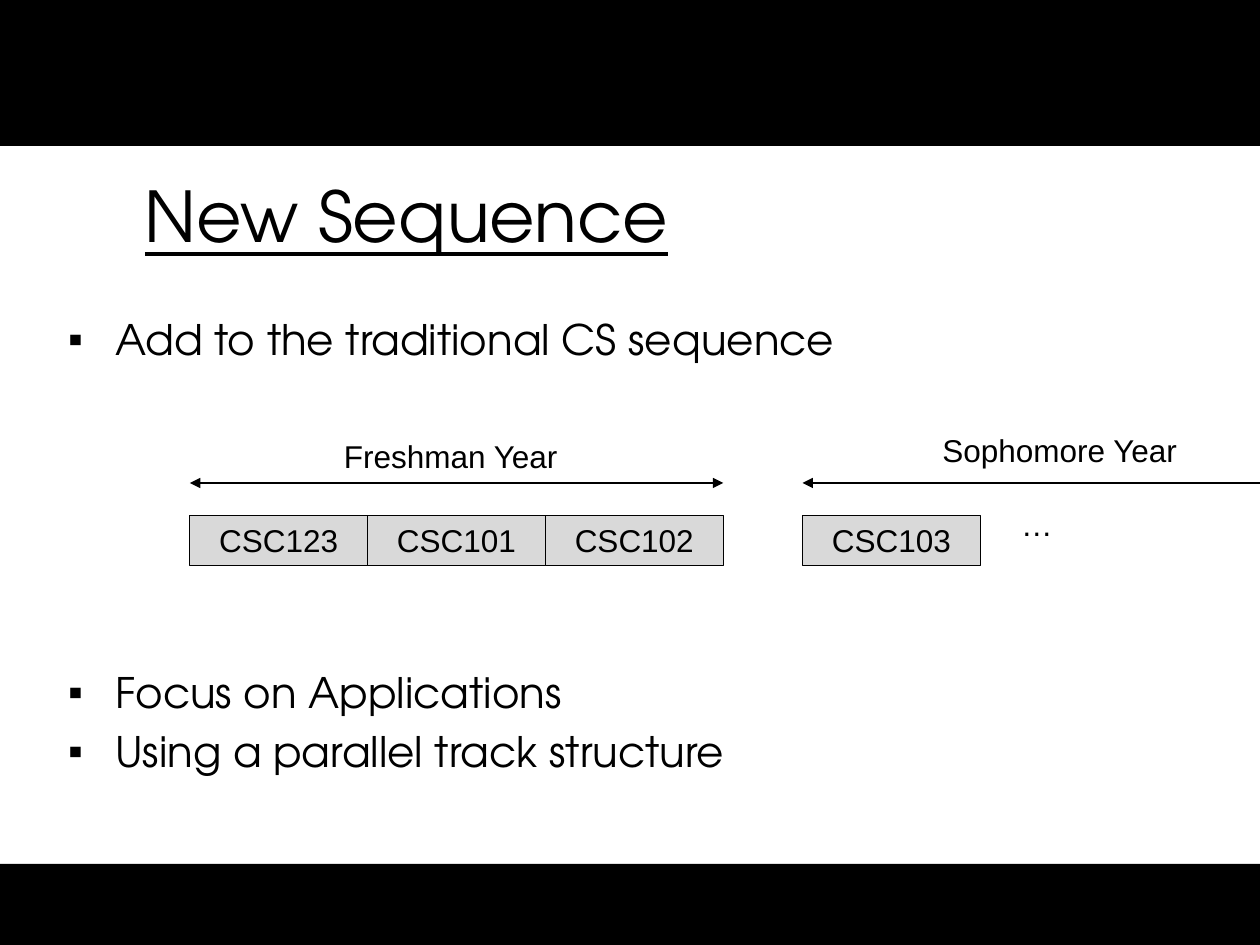
from lxml import etree
from pptx import Presentation
from pptx.dml.color import RGBColor
from pptx.enum import shapes, text
from pptx.oxml.ns import qn
from pptx.util import Pt

BLACK = RGBColor(0, 0, 0)
GREY = RGBColor(0xD9, 0xD9, 0xD9)
HEAD, SANS = "TeX Gyre Adventor", "Arial"
WIDE, TALL = 720, 540
CELL, HIGH = 101.6, 28.8  # course box


def put(shape, box):
    for name, val in zip(("left", "top", "width", "height"), box):
        setattr(shape, name, Pt(val))


def style(para, name, size, **more):
    look = {"name": name, "size": Pt(size), **more}
    for key, val in look.items():
        setattr(para.font, key, val)
    para.font.color.rgb = BLACK


def rect(slide, box, fill, line=None):
    shape = slide.shapes.add_shape(shapes.MSO_SHAPE.RECTANGLE, *map(Pt, box))
    shape.shadow.inherit = False
    shape.fill.solid()
    shape.fill.fore_color.rgb = fill
    if line is None:
        shape.line.fill.background()
    else:
        shape.line.color.rgb = line
        shape.line.width = Pt(0.75)
    return shape


def bands(slide):
    for top, high in ((0, 83.4), (493.6, TALL - 493.6)):
        rect(slide, (0, top, WIDE, high), BLACK)


def title(slide, box, words):
    shape = slide.shapes.title
    put(shape, box)
    frame = shape.text_frame
    frame.text = words
    frame.vertical_anchor = text.MSO_ANCHOR.MIDDLE
    para = frame.paragraphs[0]
    para.alignment = text.PP_ALIGN.LEFT
    style(para, HEAD, 40, underline=True)


def bullets(slide, box, items):
    """Fill the body with (words, space before) pairs."""
    shape = slide.placeholders[1]
    put(shape, box)
    frame = shape.text_frame
    frame.auto_size = text.MSO_AUTO_SIZE.NONE
    frame.text = "\n".join(words for words, _ in items)
    for para, (_, gap) in zip(frame.paragraphs, items):
        props = para._p.get_or_add_pPr()
        props.set("marL", str(Pt(27)))
        props.set("indent", str(Pt(-27)))
        para.space_before = Pt(gap)
        etree.SubElement(props, qn("a:buFont")).set("typeface", SANS)
        etree.SubElement(props, qn("a:buChar")).set("char", "▪")
        style(para, HEAD, 24)


def arrow(slide, left, top, width):
    line = slide.shapes.add_connector(
        shapes.MSO_CONNECTOR.STRAIGHT, Pt(left), Pt(top), Pt(left + width), Pt(top))
    line.line.color.rgb = BLACK
    line.line.width = Pt(0.75)
    for end in ("a:headEnd", "a:tailEnd"):
        etree.SubElement(line.line._get_or_add_ln(), qn(end)).set("type", "triangle")
    etree.SubElement(line._element.spPr, qn("a:effectLst"))


def label(slide, box, words):
    shape = slide.shapes.add_textbox(*map(Pt, box))
    frame = shape.text_frame
    frame.word_wrap = True
    frame.text = words
    for para in frame.paragraphs:
        style(para, SANS, 18)
    return frame.paragraphs


def year(slide, left, top, codes):
    """Draw a year's arrow, three courses wide, above its course boxes."""
    arrow(slide, left, top, 3 * CELL)
    for i, code in enumerate(codes):
        box = rect(slide, (left + i * CELL, top + 18.4, CELL, HIGH), GREY, BLACK)
        box.text_frame.text = code
        para = box.text_frame.paragraphs[0]
        para.alignment = text.PP_ALIGN.CENTER
        style(para, SANS, 18)


def main():
    deck = Presentation()
    deck.slide_width, deck.slide_height = Pt(WIDE), Pt(TALL)
    slide = deck.slides.add_slide(deck.slide_layouts[1])
    bands(slide)
    title(slide, (75.6, 77.8, 609, 90), "New Sequence")
    bullets(slide, (31.7, 175.7, 674.6, 306.7), (
        ("Add to the traditional CS sequence", 0),
        ("Focus on Applications", 173),
        ("Using a parallel track structure", 4.8)))
    year(slide, 108.5, 276, ("CSC123", "CSC101", "CSC102"))
    label(slide, (189.4, 246.2, 143.3, HIGH), "Freshman Year")
    year(slide, 458.6, 276, ("CSC103",))
    more = label(slide, (531.4, 242.6, 175, 72.7), "Sophomore Year\n…")[1]
    more._p.get_or_add_pPr().set("marL", str(Pt(45)))
    more.space_before = Pt(20.7)
    deck.save("out.pptx")


if __name__ == "__main__":
    main()
